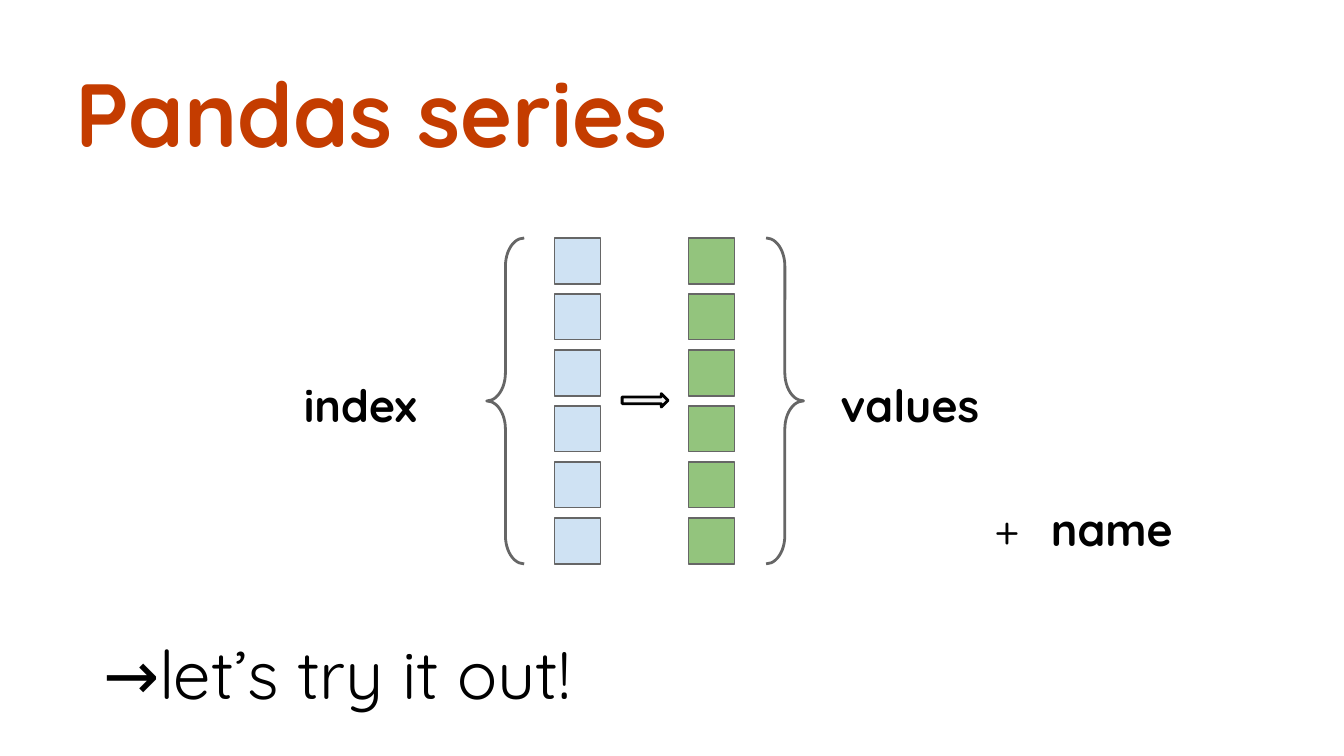
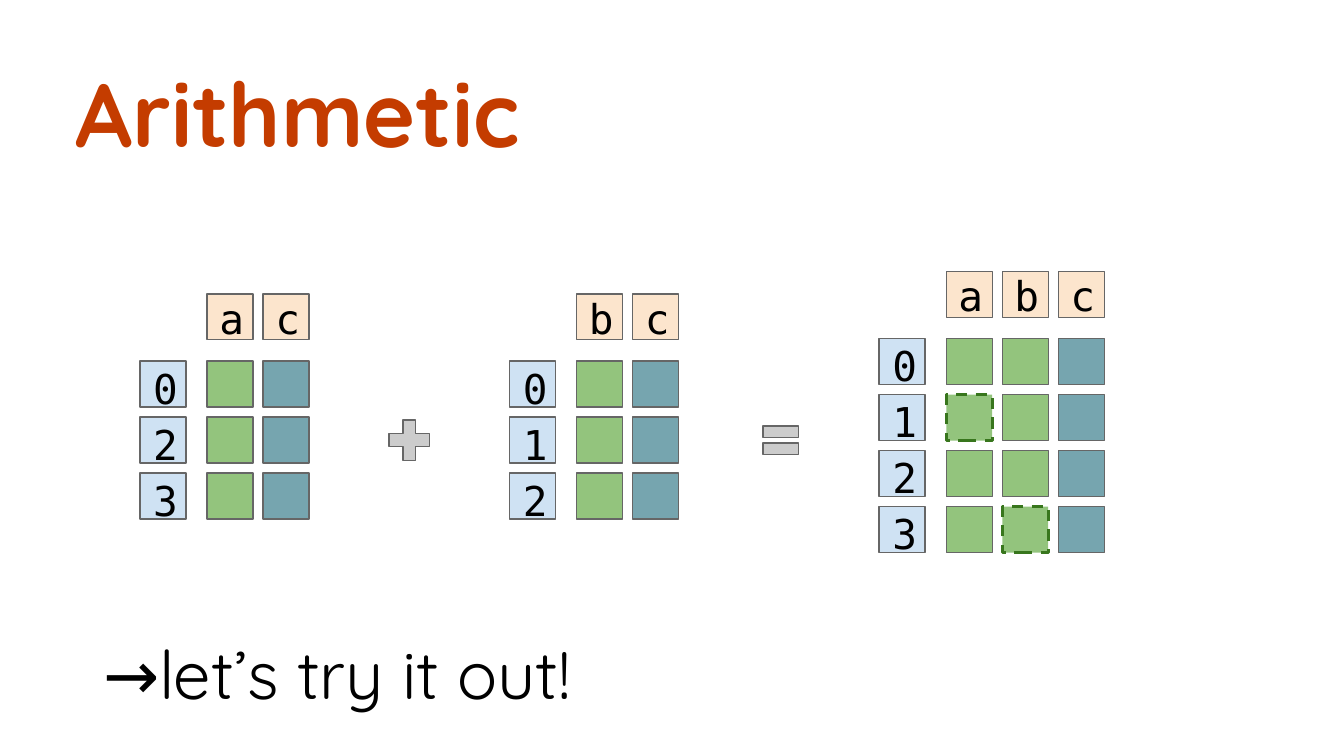
from pptx import Presentation
from pptx.dml.color import RGBColor as Color
from pptx.enum.dml import MSO_LINE as Dash
from pptx.enum.shapes import MSO_SHAPE as Kind
from pptx.enum.text import MSO_ANCHOR as Anchor, MSO_AUTO_SIZE as Fit, PP_ALIGN as Align
from pptx.oxml.ns import qn
from pptx.util import Inches, Pt
from lxml.etree import SubElement as Sub

RUST = Color(0xC4, 0x3C, 0x00)
BLACK = Color(0x00, 0x00, 0x00)
GREY = Color(0x66, 0x66, 0x66)
SILVER = Color(0xCC, 0xCC, 0xCC)
PALE = Color(0xF3, 0xF3, 0xF3)
GREEN = Color(0x93, 0xC4, 0x7D)
FOREST = Color(0x38, 0x76, 0x1D)
BLUE = Color(0xCF, 0xE2, 0xF3)
TEAL = Color(0x76, 0xA5, 0xAF)
PEACH = Color(0xFC, 0xE5, 0xCD)

SANS, MONO = "Quicksand", "DejaVu Sans Mono"
COLS, ROWS = 24, 13.5  # the grid that covers the slide
CELL = 0.82            # side of a square, in grid units
GAP = 1.2              # from index or header to the first data square


class Deck:
    """Holds the style and the current slide."""

    def __init__(self):
        """Open an empty deck at the wide size."""
        self.file = Presentation()
        self.file.slide_width = Inches(10)
        self.file.slide_height = Inches(5.625)
        self.page = None

    def area(self, left, top, wide, high):
        """Turn grid columns and rows into slide lengths."""
        col = self.file.slide_width / COLS
        row = self.file.slide_height / ROWS
        return int(left * col), int(top * row), int(wide * col), int(high * row)

    def words(self, item, text, size, font=SANS, bold=False, color=BLACK,
              align=Align.CENTER, anchor=Anchor.MIDDLE):
        """Put one formatted run in a frame and return its paragraph."""
        frame = item.text_frame
        frame.word_wrap = True
        frame.auto_size = Fit.NONE
        frame.vertical_anchor = anchor
        frame.margin_left = frame.margin_right = Inches(0.1)
        frame.margin_top = frame.margin_bottom = Inches(0.1)
        para = frame.paragraphs[0]
        para.alignment = align
        para.space_before = Pt(0)
        run = para.add_run()
        run.text = text
        run.font.name, run.font.size, run.font.bold = font, Pt(size), bold
        run.font.color.rgb = color
        return para

    def slide(self, title, prompt, high):
        """Start a slide with its title and closing prompt."""
        self.page = self.file.slides.add_slide(self.file.slide_layouts[0])
        head, foot = self.page.placeholders
        head.left, head.top, head.width, head.height = self.area(1.1, 0.8, 22.2, high)
        foot.left, foot.top, foot.width, foot.height = self.area(1.1, 10.92, 9.84, 2.2)
        self.words(head, title, 48, bold=True, color=RUST,
                   align=Align.LEFT, anchor=Anchor.TOP)
        self.words(foot, prompt, 36)

    def shape(self, kind, box, fill=None, line=GREY, width=0.75, adjust=()):
        """Draw a preset shape, hollow when it has no fill."""
        item = self.page.shapes.add_shape(kind, *self.area(*box))
        item.shadow.inherit = False
        if fill is None:
            item.fill.background()
        else:
            item.fill.solid()
            item.fill.fore_color.rgb = fill
        item.line.color.rgb = line
        item.line.width = Pt(width)
        for spot, value in enumerate(adjust):
            item.adjustments[spot] = value
        return item

    def label(self, text, box, size=24, font=SANS, bold=True, after=8):
        """Add a centred text box."""
        item = self.page.shapes.add_textbox(*self.area(*box))
        para = self.words(item, text, size, font, bold)
        para.line_spacing = 1.15
        para.space_before = Pt(10)
        para.space_after = Pt(after)
        return para

    def bullet(self, para, mark):
        """Give a paragraph a hanging bullet."""
        props = para._p.get_or_add_pPr()
        props.set("marL", str(Inches(0.5)))
        props.set("indent", str(Inches(-0.42)))
        tint = Sub(props, qn("a:buClr"))
        Sub(tint, qn("a:srgbClr"), val=str(BLACK))
        Sub(props, qn("a:buFont"), typeface=SANS)
        Sub(props, qn("a:buChar"), char=mark)

    def cell(self, left, top, fill, gone=False):
        """Draw one square, dashed where data is missing."""
        line, width = (FOREST, 1.5) if gone else (GREY, 0.75)
        item = self.shape(Kind.RECTANGLE, (left, top, CELL, CELL), fill, line, width)
        if gone:
            item.line.dash_style = Dash.DASH

    def stack(self, left, top, count, fill, gone=()):
        """Draw a column of squares, one per grid row."""
        for row in range(count):
            self.cell(left, top + row, fill, row in gone)

    def sign(self, text, left, top):
        """Place one mono character over a square."""
        self.label(text, (left, top, 0.75, CELL), 22, MONO, False)

    def brace(self, left, turn=0):
        """Draw a brace beside the six squares."""
        item = self.shape(Kind.RIGHT_BRACE, (left, 4.25, 0.67, 5.82),
                          width=1.5, adjust=(0.755, 0.5))
        item.rotation = turn

    def table(self, left, top, index, names, gone=None):
        """Draw a data frame: index, header and coloured columns."""
        gone = gone or {}
        body = top + GAP
        self.stack(left, body, len(index), BLUE)
        for row, text in enumerate(index):
            self.sign(text, left, body + row)
        for col, name in enumerate(names):
            side = left + GAP + col
            self.cell(side, top, PEACH)
            self.sign(name, side - 0.02, top - 0.05)
            fill = TEAL if name == "c" else GREEN
            self.stack(side, body, len(index), fill, gone.get(name, ()))


def series(deck):
    """Build the slide on series."""
    deck.slide("Pandas series", "→let’s try it out!", 3.55)
    deck.stack(12.3, 4.25, 6, GREEN)
    deck.stack(9.9, 4.25, 6, BLUE)
    deck.label("values", (14.71, 6.53, 3.07, 1.25))
    deck.brace(13.68)
    deck.label("index", (4.9, 6.53, 3.07, 1.25))
    deck.brace(8.69, 180)
    deck.bullet(deck.label("name", (17.3, 8.74, 3.91, 1.25), after=0), "+")
    deck.shape(Kind.RIGHT_ARROW, (11.11, 7.03, CELL, 0.24), PALE, BLACK, 1.5, (0.5, 0.5))


def sums(deck):
    """Build the slide on arithmetic."""
    deck.slide("Arithmetic", "→let’s try it out!", 2.33)
    deck.table(2.5, 5.25, "023", "ac")
    deck.table(9.1, 5.25, "012", "bc")
    deck.shape(Kind.MATH_PLUS, (6.82, 7.37, 0.98, 0.98), SILVER, adjust=(0.235,))
    deck.shape(Kind.MATH_EQUAL, (13.51, 7.43, 0.86, 0.86), SILVER, adjust=(0.235, 0.118))
    deck.table(15.7, 4.85, "0123", "abc", {"a": (1,), "b": (3,)})


deck = Deck()
series(deck)
sums(deck)
deck.file.save("out.pptx")
